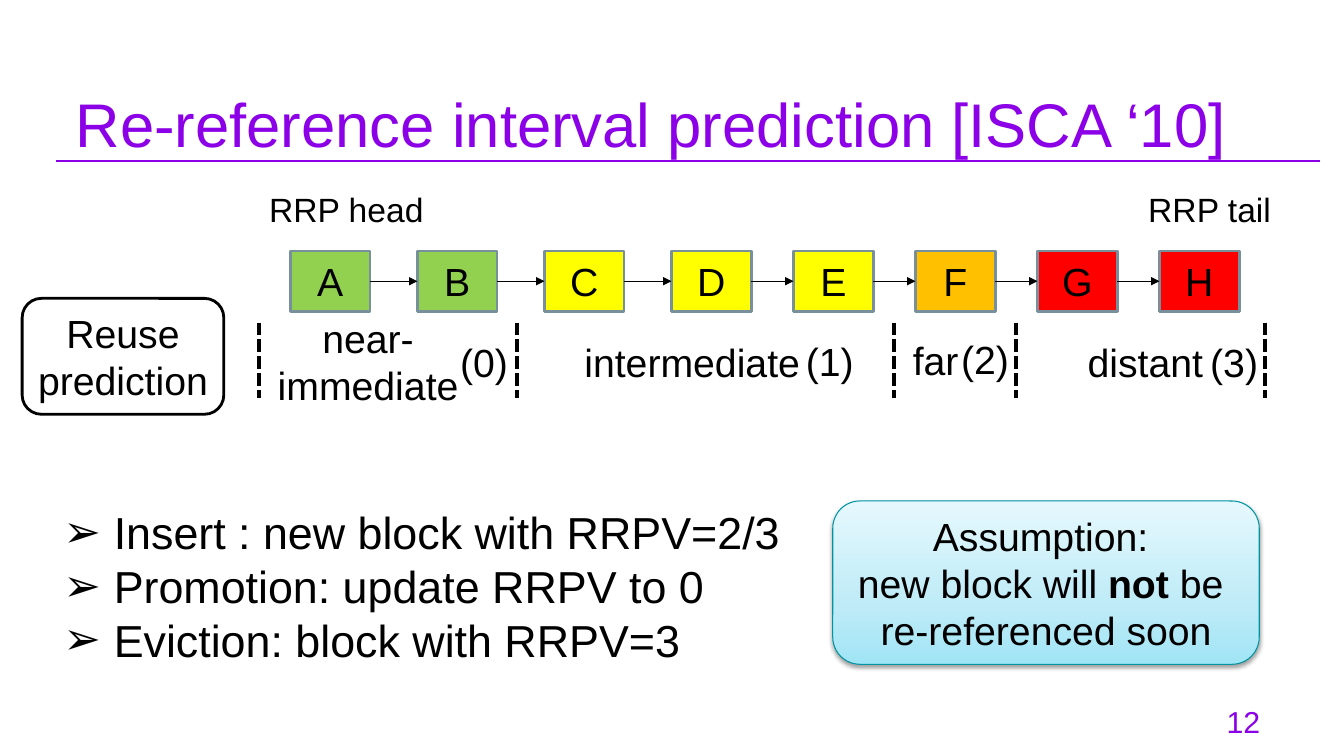
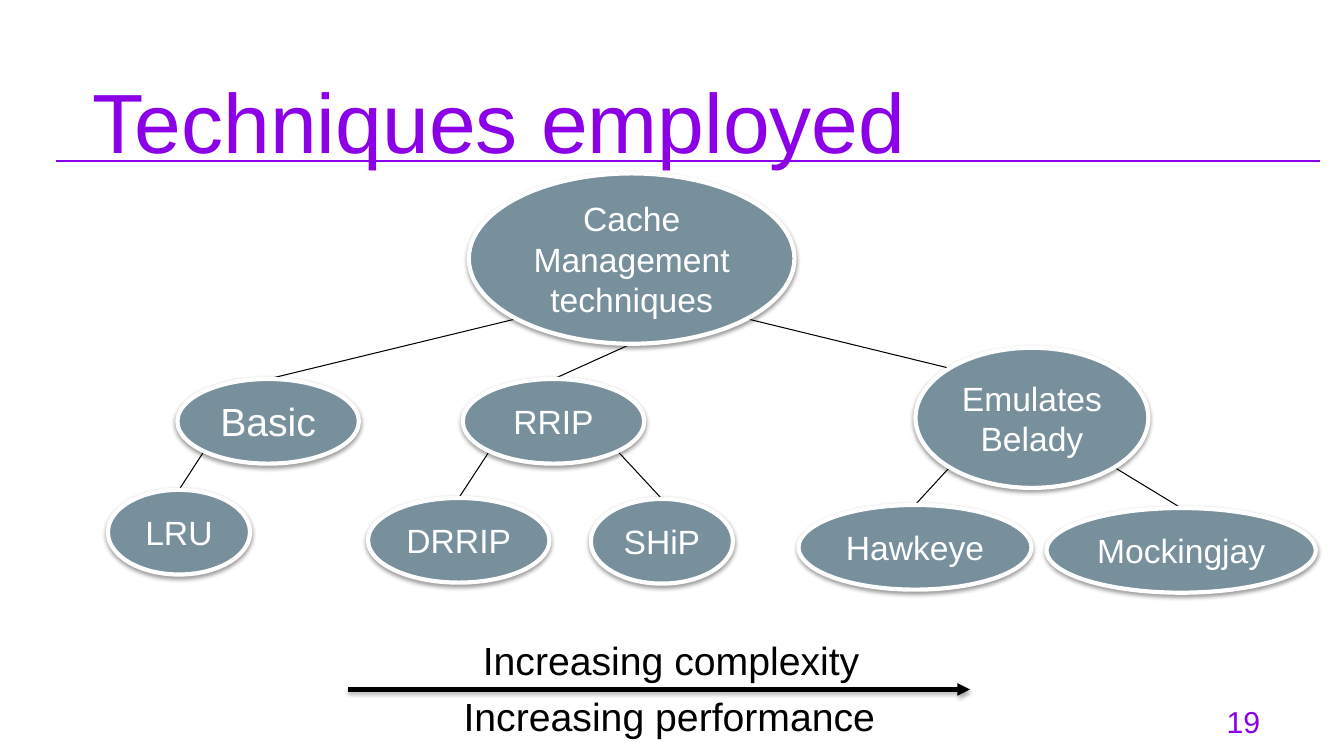
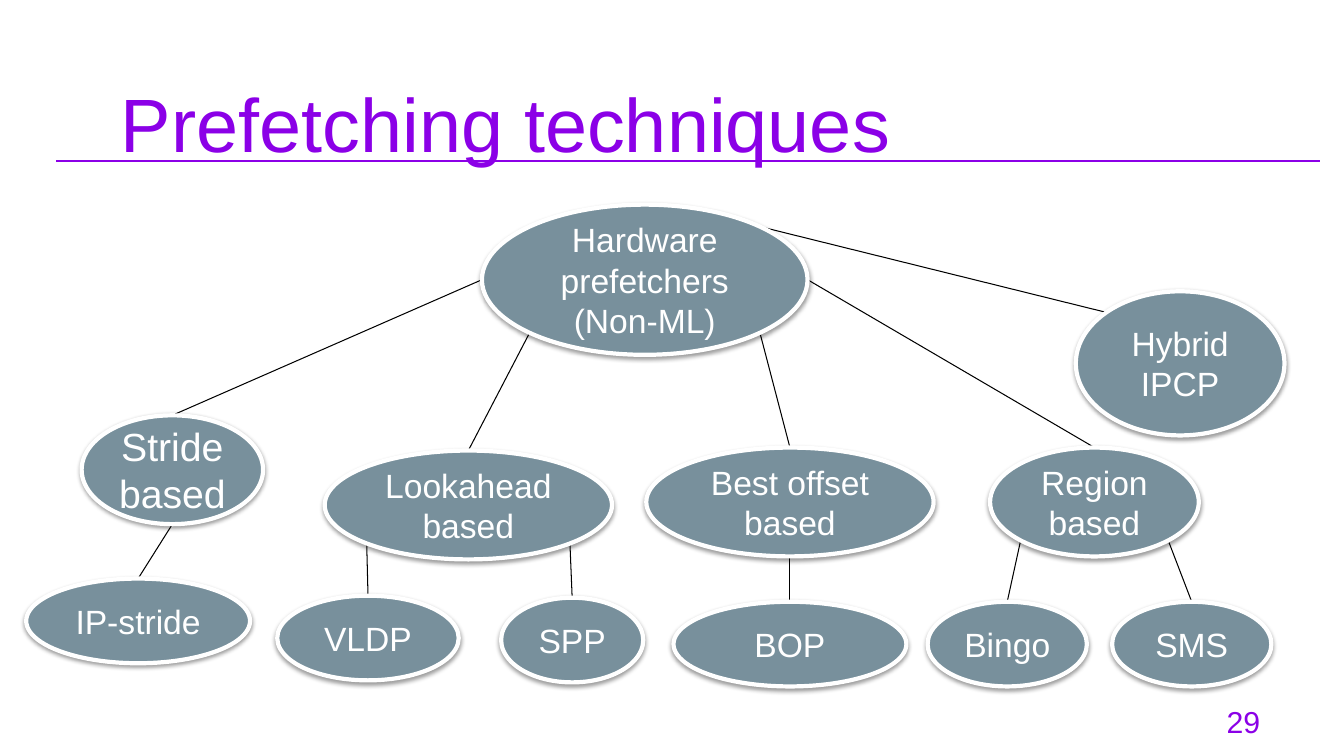
import copy

import pptx
import pptx.dml.color
import pptx.enum.dml
import pptx.enum.shapes
import pptx.enum.text
import pptx.oxml.ns
import pptx.util
from lxml import etree

PX = 9144  # 100 px to the inch
FONT = "Arial"
COLORS = {
    "purple": "8B00E7", "black": "000000", "white": "FFFFFF", "slate": "78909C",
    "green": "92D050", "yellow": "FFFF00", "orange": "FFC000", "red": "FF0000",
    "teal": "0094A3", "sky": "A0E5F5", "pale_sky": "BEEBF7", "ice": "E5F8FD",
}
ALIGN = pptx.enum.text.PP_ALIGN
ANCHOR = pptx.enum.text.MSO_ANCHOR
SHAPE = pptx.enum.shapes.MSO_SHAPE

# Connection sites of an ellipse, as fractions of its width and height
NEAR, FAR = 0.1464, 0.8536
SITES = {
    "top": (0.5, 0), "left": (0, 0.5), "bottom": (0.5, 1), "right": (1, 0.5),
    "top left": (NEAR, NEAR), "top right": (FAR, NEAR),
    "bottom left": (NEAR, FAR), "bottom right": (FAR, FAR),
}


def px(*lengths):
    return [pptx.util.Emu(round(n * PX)) for n in lengths]


def rgb(name):
    return pptx.dml.color.RGBColor.from_string(COLORS[name])


def sub(parent, tag, **attrs):
    return etree.SubElement(parent, pptx.oxml.ns.qn(tag), **attrs)


def add_run(p, text, size, color="black", bold=False):
    r = p.add_run()
    r.text = text
    r.font.name = FONT
    r.font.size = pptx.util.Pt(size)
    r.font.bold = bold
    r.font.color.rgb = rgb(color)


def write(tf, lines, size, color="black", align=ALIGN.CENTER):
    """Fill a frame; a line is a string or a list of (text, bold) runs."""
    for i, line in enumerate(lines):
        p = tf.add_paragraph() if i else tf.paragraphs[0]
        p.alignment = align
        for text, bold in [(line, False)] if isinstance(line, str) else line:
            add_run(p, text, size, color, bold)


def set_insets(tf, inset):
    tf.margin_left = tf.margin_top = tf.margin_right = tf.margin_bottom = px(inset)[0]


def add_text(slide, box, lines, size, color="black", align=ALIGN.CENTER, wrap=False):
    tf = slide.shapes.add_textbox(*px(*box)).text_frame
    tf.word_wrap = wrap
    write(tf, lines, size, color, align)
    return tf


def add_shadow(effects, alpha, dist):
    shadow = sub(effects, "a:outerShdw", blurRad="40000", dist=str(dist),
                 dir="5400000", rotWithShape="0")
    color = sub(shadow, "a:srgbClr", val=COLORS["black"])
    sub(color, "a:alpha", val=str(alpha * 1000))


def add_box(slide, kind, box, fill, line, width, shadow=False):
    sp = slide.shapes.add_shape(kind, *px(*box))
    sp.shadow.inherit = False
    if shadow:
        add_shadow(sp.element.spPr.find(pptx.oxml.ns.qn("a:effectLst")), 38, 20000)
    if fill:
        sp.fill.solid()
        sp.fill.fore_color.rgb = rgb(fill)
    sp.line.color.rgb = rgb(line)
    sp.line.width = pptx.util.Pt(width)
    return sp


def add_line(slide, start, end, color="black", width=0.75, arrow=False, dash=None,
             shadow=False):
    kind = pptx.enum.shapes.MSO_CONNECTOR.STRAIGHT
    cxn = slide.shapes.add_connector(kind, *px(*start, *end))
    cxn.line.color.rgb = rgb(color)
    cxn.line.width = pptx.util.Pt(width)
    if dash:
        cxn.line.dash_style = dash
    if arrow:
        sub(cxn.line._get_or_add_ln(), "a:tailEnd", type="triangle")
    effects = sub(cxn.element.spPr, "a:effectLst")
    if shadow:
        add_shadow(effects, 35, 23000)
    return cxn


def add_slide(prs, title, box, size, number):
    slide = prs.slides.add_slide(prs.slide_layouts[5])
    add_line(slide, (56, 160), (1309, 160), "purple", 1.5)

    sp = slide.shapes.title
    sp.left, sp.top, sp.width, sp.height = px(*box)
    tf = sp.text_frame
    tf.auto_size = pptx.enum.text.MSO_AUTO_SIZE.NONE
    tf.vertical_anchor = ANCHOR.TOP
    set_insets(tf, 12)
    write(tf, [title], size, "purple", ALIGN.LEFT)
    tf.paragraphs[0].line_spacing = 1.1

    tf = add_text(slide, (1177, 687, 85, 57), [number], 21.6, "purple", ALIGN.RIGHT, True)
    tf.vertical_anchor = ANCHOR.MIDDLE
    set_insets(tf, 12)
    return slide


def block_chain(slide, x, y):
    blocks = zip("ABCDEFGH", ["green"] * 2 + ["yellow"] * 3 + ["orange"] + ["red"] * 2)
    previous = None
    for i, (name, color) in enumerate(blocks):
        left = x + 126 * i - 5 * max(0, i - 3)
        sp = add_box(slide, SHAPE.RECTANGLE, (left, y, 79, 60), color, "slate", 2)
        write(sp.text_frame, [name], 28)
        if previous is not None:
            cxn = add_line(slide, (left - 45, y + 30), (left, y + 30), arrow=True)
            cxn.begin_connect(previous, 3)
            cxn.end_connect(sp, 1)
        previous = sp
    for label, dx, width in (("RRP head", -31, 176), ("RRP tail", 841, 144)):
        add_text(slide, (x + dx, y - 66, width, 50), [label], 24, align=ALIGN.LEFT)


def prediction_row(slide, x, y):
    """Dashed dividers with the reuse classes between them, from the first divider."""
    dash = pptx.enum.dml.MSO_LINE.SQUARE_DOT
    for dx in (0, 256, 630, 751, 998):
        add_line(slide, (x + dx, y), (x + dx, y + 75), width=3, dash=dash)
    labels = [
        (["near-", "immediate"], 7, -13, 202), (["(0)"], 189, 11, 68),
        (["intermediate"], 311, 11, 237), (["(1)"], 532, 10, 68),
        (["far"], 638, 9, 66), (["(2)"], 686, 8, 68),
        (["distant"], 811, 11, 136), (["(3)"], 933, 11, 68),
    ]
    for lines, dx, dy, width in labels:
        add_text(slide, (x + dx, y + dy, width, 10 + 47 * len(lines)), lines, 28)
    sp = add_box(slide, SHAPE.ROUNDED_RECTANGLE, (x - 235, y - 24, 200, 115),
                 "white", "black", 2)
    sp.text_frame.word_wrap = False
    write(sp.text_frame, ["Reuse", "prediction"], 28)


def policy_list(slide, box):
    lines = ["Insert : new block with RRPV=2/3", "Promotion: update RRPV to 0",
             "Eviction: block with RRPV=3"]
    tf = add_text(slide, box, lines, 32, align=ALIGN.LEFT, wrap=True)
    for p in tf.paragraphs:
        pr = p._p.get_or_add_pPr()
        pr.set("marL", "457200")
        pr.set("indent", "-457200")
        sub(sub(pr, "a:buClr"), "a:srgbClr", val=COLORS["black"])
        sub(pr, "a:buFont", typeface=FONT)
        sub(pr, "a:buChar", char="➢")


def assumption_card(slide, box):
    sp = add_box(slide, SHAPE.ROUNDED_RECTANGLE, box, None, "teal", 0.75, shadow=True)
    sp.fill.gradient()
    sp.fill.gradient_angle = 90
    stops = sp.element.spPr.xpath(".//a:gsLst")[0]
    stops.insert(1, copy.deepcopy(stops[0]))
    shades = ((0, "sky"), (0.35, "pale_sky"), (1, "ice"))
    for stop, (position, color) in zip(sp.fill.gradient_stops, shades):
        stop.position = position
        stop.color.rgb = rgb(color)
    write(sp.text_frame, [
        "Assumption: ",
        [("new block will ", False), ("not", True), (" be ", False)],
        "re-referenced soon",
    ], 28)


def site_point(box, site):
    x, y, w, h = box
    fx, fy = SITES[site]
    return x + fx * w, y + fy * h


def tree(slide, nodes, edges, large):
    """Nodes map a label to its box; edges are (parent, site, child, child site)."""
    ellipses = {}
    for label, box in nodes.items():
        sp = add_box(slide, SHAPE.OVAL, box, "slate", "white", 3, shadow=True)
        write(sp.text_frame, label.split("\n"), 28 if label == large else 24, "white")
        ellipses[label] = sp
    for parent, site, child, child_site in edges:
        cxn = add_line(slide, site_point(nodes[parent], site),
                       site_point(nodes[child], child_site))
        if child_site == "top":
            cxn.end_connect(ellipses[child], 0)
        slide.shapes._spTree.insert(2, cxn.element)  # behind the ellipses


def trend_arrow(slide, x, y, width):
    add_line(slide, (x, y), (x + width, y), width=3, arrow=True, shadow=True)
    for label, dx, dy, w in (("Increasing complexity", 124, -58, 399),
                             ("Increasing performance", 105, -2, 434)):
        add_text(slide, (x + dx, y + dy, w, 57), [label], 28, align=ALIGN.LEFT)


def prediction_slide(prs):
    slide = add_slide(prs, "Re-reference interval prediction [ISCA ‘10]",
                      (63, 66, 1268, 84), 44, "12")
    block_chain(slide, 288, 249)
    prediction_row(slide, 257, 320)
    policy_list(slide, (53, 496, 765, 172))
    assumption_card(slide, (826, 497, 423, 162))


def techniques_slide(prs):
    slide = add_slide(prs, "Techniques employed", (80, 47, 1118, 84), 60, "19")
    root, belady = "Cache Management techniques", "Emulates Belady"
    nodes = {
        root: (465, 172, 323, 169),
        "Basic": (176, 376, 180, 84),
        "LRU": (107, 486, 141, 84),
        "RRIP": (459, 376, 180, 84),
        "DRRIP": (365, 494, 180, 84),
        "SHiP": (586, 495, 141, 84),
        belady: (908, 345, 231, 139),
        "Mockingjay": (1038, 504, 267, 84),
        "Hawkeye": (792, 501, 231, 84),
    }
    edges = [
        (root, "bottom left", "Basic", "top"),
        (root, "bottom", "RRIP", "top"),
        (root, "bottom right", belady, "top left"),
        ("Basic", "bottom left", "LRU", "top"),
        ("RRIP", "bottom left", "DRRIP", "top"),
        ("RRIP", "bottom right", "SHiP", "top"),
        (belady, "bottom left", "Hawkeye", "top"),
        (belady, "bottom right", "Mockingjay", "top"),
    ]
    tree(slide, nodes, edges, large="Basic")
    trend_arrow(slide, 345, 684, 617)


def prefetching_slide(prs):
    slide = add_slide(prs, "Prefetching techniques", (108, 55, 1154, 84), 54, "29")
    root, hybrid = "Hardware prefetchers (Non-ML)", "Hybrid\nIPCP"
    stride, lookahead = "Stride based", "Lookahead based"
    offset, region = "Best offset based", "Region based"
    nodes = {
        root: (478, 203, 323, 149),
        stride: (81, 412, 180, 108),
        "IP-stride": (26, 574, 222, 84),
        lookahead: (322, 447, 285, 108),
        "VLDP": (275, 591, 180, 84),
        "SPP": (497, 593, 141, 84),
        offset: (641, 444, 285, 108),
        "BOP": (668, 597, 231, 84),
        region: (982, 444, 207, 108),
        "Bingo": (920, 597, 158, 84),
        "SMS": (1103, 597, 158, 84),
        hybrid: (1067, 289, 207, 143),
    }
    edges = [
        (root, "left", stride, "top"),
        (root, "bottom left", lookahead, "top"),
        (root, "bottom right", offset, "top"),
        (root, "right", region, "top"),
        (root, "top right", hybrid, "top left"),
        (stride, "bottom", "IP-stride", "top"),
        (lookahead, "bottom left", "VLDP", "top"),
        (lookahead, "bottom right", "SPP", "top"),
        (offset, "bottom", "BOP", "top"),
        (region, "bottom left", "Bingo", "top"),
        (region, "bottom right", "SMS", "top"),
    ]
    tree(slide, nodes, edges, large=stride)


def main():
    prs = pptx.Presentation()
    prs.slide_width, prs.slide_height = px(1333, 750)
    prediction_slide(prs)
    techniques_slide(prs)
    prefetching_slide(prs)
    prs.save("out.pptx")


if __name__ == "__main__":
    main()
